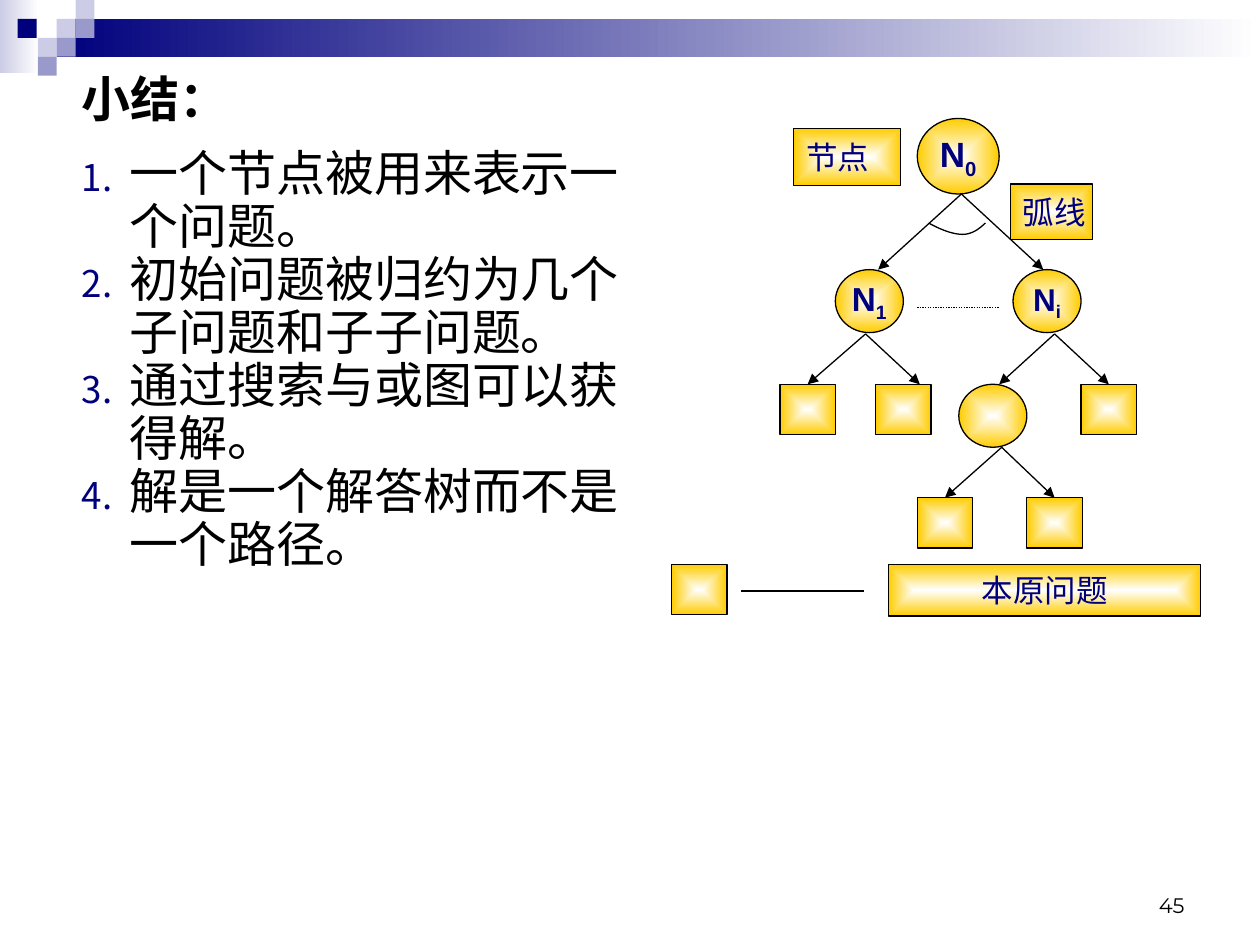
from lxml.etree import SubElement
from pptx import Presentation
from pptx.dml.color import RGBColor
from pptx.enum.dml import MSO_LINE
from pptx.enum.shapes import MSO_CONNECTOR, MSO_SHAPE
from pptx.enum.text import MSO_ANCHOR as ANCHOR, PP_ALIGN as ALIGN
from pptx.oxml.ns import qn
from pptx.util import Inches, Pt

NAVY = RGBColor(0x00, 0x00, 0x7D)
LILAC = RGBColor(0xCC, 0xCC, 0xE6)
VIOLET = RGBColor(0x99, 0x99, 0xCC)
GOLD = RGBColor(0xFF, 0xCC, 0x00)
WHITE = RGBColor(0xFF, 0xFF, 0xFF)
BLACK = RGBColor(0x00, 0x00, 0x00)

HEADING = "小结："
POINTS = [
    "一个节点被用来表示一个问题。",
    "初始问题被归约为几个子问题和子子问题。",
    "通过搜索与或图可以获得解。",
    "解是一个解答树而不是一个路径。",
]
PAGE_NUMBER = "45"

BANDS = [(0, 0, 0.31, 0.58, LILAC), (0.45, 0.15, 9.55, 0.3, NAVY)]
TILE = 0.15
TILES = [
    (0.45, 0.15, LILAC), (0.6, 0, LILAC), (0.6, 0.15, VIOLET), (0.3, 0.3, LILAC),
    (0.14, 0.15, NAVY), (0.45, 0.3, VIOLET), (0.3, 0.45, VIOLET),
]

NODES = [
    (7.28, 0.94, 0.65, 0.6, "N", "0", 20),
    (6.63, 2.14, 0.54, 0.5, "N", "1", 19),
    (8.04, 2.14, 0.54, 0.5, "N", "i", 18),
    (7.61, 3.05, 0.54, 0.5, "", "", 18),
]
LEAF_SIZE = (0.44, 0.4)
LEAVES = {
    "first": (6.19, 3.05), "second": (6.95, 3.05), "third": (8.58, 3.05),
    "lower left": (7.28, 3.95), "lower right": (8.15, 3.95), "legend": (5.33, 4.48),
}
LABELS = [
    (6.3, 1.02, 0.85, 0.45, "节点", ALIGN.LEFT),
    (8.02, 1.46, 0.65, 0.44, "弧线", ALIGN.LEFT),
    (7.05, 4.48, 2.48, 0.41, "本原问题", ALIGN.CENTER),
]
BRANCHES = [
    ((7.63, 1.54), [((8.28, 2.14), None), ((6.97, 2.14), None)]),
    ((8.37, 2.65), [((8.8, 3.05), "third"), ((7.93, 3.05), None)]),
    ((6.87, 2.65), [((7.3, 3.05), None), ((6.43, 3.05), "first")]),
    ((7.95, 3.55), [((8.39, 3.95), "lower right"), ((7.52, 3.95), "lower left")]),
]
SIBLING_LINE = ((7.28, 2.44), (7.93, 2.44))
LEGEND_LINE = ((5.88, 4.69), (6.86, 4.69))
ARC = [
    ((7.37, 1.77), (7.46, 1.82), (7.56, 1.86), (7.64, 1.86)),
    ((7.64, 1.86), (7.71, 1.86), (7.77, 1.82), (7.82, 1.77)),
]
ARC_STEPS = 10

presentation = Presentation()
presentation.slide_width, presentation.slide_height = Inches(10), Inches(7.5)
slide = presentation.slides.add_slide(presentation.slide_layouts[6])
shapes = slide.shapes


def add_text(paragraph, text, size=18, color=NAVY, bold=False, font="Arial", align=None, baseline=None):
    if align is not None:
        paragraph.alignment = align
    run = paragraph.add_run()
    run.text = text
    run.font.size, run.font.name, run.font.bold = Pt(size), font, bold
    run.font.color.rgb = color
    if baseline is not None:
        run.font._element.set("baseline", str(baseline * 1000))


def add_block(kind, left, top, width, height):
    block = shapes.add_shape(kind, *map(Inches, (left, top, width, height)))
    block.shadow.inherit = False
    block.line.fill.background()
    return block


def set_gradient(block, start, end):
    block.fill.gradient()
    for stop, color in zip(block.fill.gradient_stops, (start, end)):
        stop.color.rgb = color
    block.fill.gradient_angle = 0


def add_gold(kind, *box):
    block = add_block(kind, *box)
    set_gradient(block, WHITE, GOLD)
    gradient = block._element.spPr.find(qn("a:gradFill"))
    gradient.remove(gradient.find(qn("a:lin")))
    center = SubElement(SubElement(gradient, qn("a:path"), path="rect"), qn("a:fillToRect"))
    for side in "ltrb":
        center.set(side, "50000")
    block.line.color.rgb, block.line.width = BLACK, Pt(0.75)
    block.text_frame.word_wrap = False
    block.text_frame.vertical_anchor = ANCHOR.MIDDLE
    return block


def add_line(start, end, arrow=False, dash=None):
    line = shapes.add_connector(MSO_CONNECTOR.STRAIGHT, *map(Inches, start + end))
    line.line.color.rgb, line.line.width = BLACK, Pt(0.75)
    if dash is not None:
        line.line.dash_style = dash
    if arrow:
        SubElement(line.line._get_or_add_ln(), qn("a:tailEnd"), type="triangle")
    SubElement(line._element.spPr, qn("a:effectLst"))
    return line


def add_number(paragraph):
    properties = paragraph._p.get_or_add_pPr()
    properties.set("marL", str(Inches(0.38)))
    properties.set("indent", str(-Inches(0.38)))
    SubElement(SubElement(properties, qn("a:buClr")), qn("a:srgbClr"), val=str(NAVY))
    SubElement(properties, qn("a:buSzPct"), val="75000")
    SubElement(properties, qn("a:buAutoNum"), type="arabicPeriod")


def curve_point(curve, t):
    weights = ((1 - t) ** 3, 3 * t * (1 - t) ** 2, 3 * t ** 2 * (1 - t), t ** 3)
    return tuple(Inches(sum(w * p[axis] for w, p in zip(weights, curve))) for axis in (0, 1))


for *box, color in BANDS:
    set_gradient(add_block(MSO_SHAPE.RECTANGLE, *box), color, WHITE)
for left, top, color in TILES:
    tile = add_block(MSO_SHAPE.RECTANGLE, left, top, TILE, TILE)
    tile.fill.solid()
    tile.fill.fore_color.rgb = color

number_frame = shapes.add_textbox(*map(Inches, (7.17, 6.83, 2.33, 0.5))).text_frame
number_frame.word_wrap = True
number_frame.vertical_anchor = ANCHOR.BOTTOM
add_text(number_frame.paragraphs[0], PAGE_NUMBER, size=12, color=BLACK, font="Montserrat", align=ALIGN.RIGHT)

summary = shapes.add_textbox(*map(Inches, (0.55, 0.55, 4.69, 4.77))).text_frame
summary.word_wrap = True
heading = summary.paragraphs[0]
heading.line_spacing, heading.space_after = 0.9, Pt(12)
add_text(heading, HEADING, size=28, color=BLACK, bold=True)
for point in POINTS:
    paragraph = summary.add_paragraph()
    add_number(paragraph)
    paragraph.line_spacing = 0.9
    add_text(paragraph, point, size=28, color=BLACK)

for *box, name, index, size in NODES:
    node = add_gold(MSO_SHAPE.OVAL, *box)
    if name:
        paragraph = node.text_frame.paragraphs[0]
        add_text(paragraph, name, size=size, bold=True, align=ALIGN.CENTER)
        add_text(paragraph, index, size=size, bold=True, baseline=-25)

leaves = {name: add_gold(MSO_SHAPE.RECTANGLE, *place, *LEAF_SIZE) for name, place in LEAVES.items()}

for start, ends in BRANCHES:
    for end, leaf in ends:
        branch = add_line(start, end, arrow=True)
        if leaf:
            branch.end_connect(leaves[leaf], 0)
add_line(*SIBLING_LINE, dash=MSO_LINE.ROUND_DOT)
add_line(*LEGEND_LINE)

for *box, text, align in LABELS:
    label = add_gold(MSO_SHAPE.RECTANGLE, *box)
    add_text(label.text_frame.paragraphs[0], text, align=align)

arc_points = [curve_point(curve, step / ARC_STEPS) for curve in ARC for step in range(ARC_STEPS + 1)]
builder = shapes.build_freeform(*arc_points[0])
builder.add_line_segments(arc_points[1:], close=False)
arc = builder.convert_to_shape()
arc.shadow.inherit = False
arc.fill.background()
arc.line.color.rgb, arc.line.width = BLACK, Pt(0.75)

presentation.save("out.pptx")
